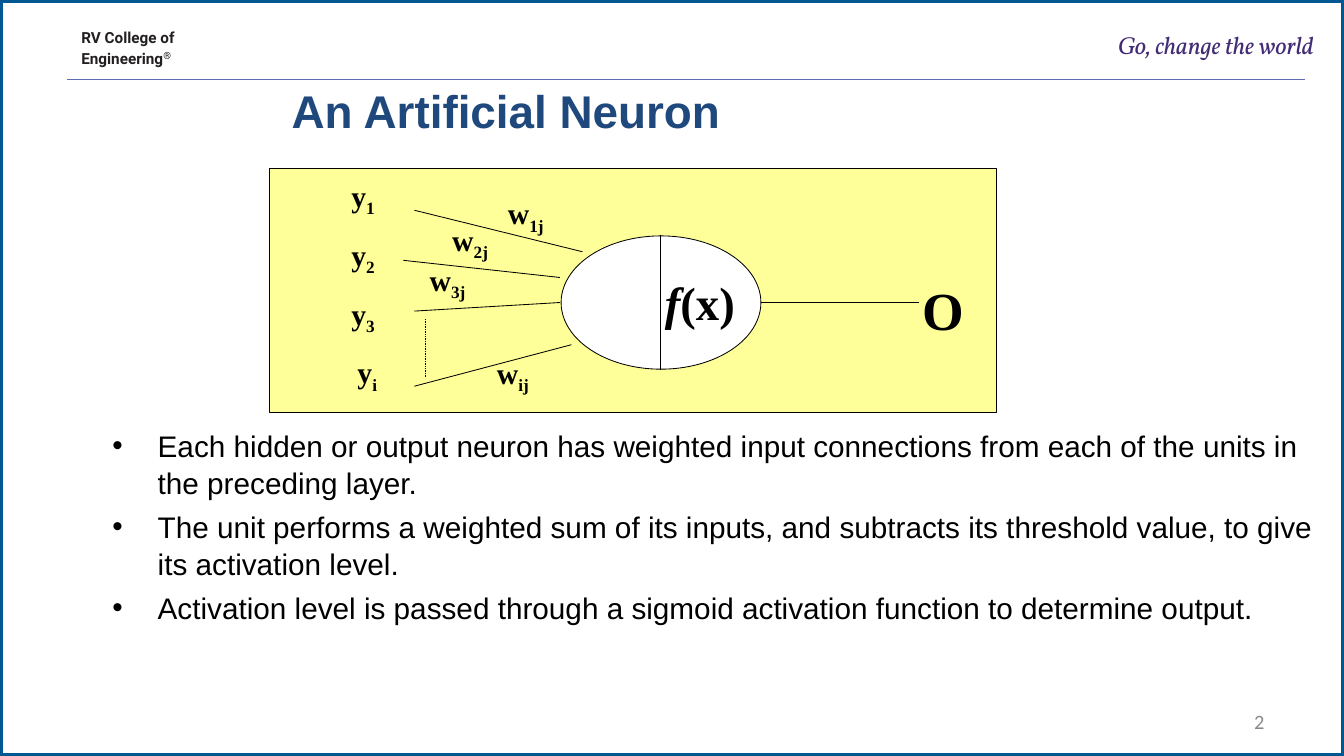
from pptx import Presentation
from pptx.dml.color import RGBColor
from pptx.enum.dml import MSO_LINE
from pptx.enum.shapes import MSO_CONNECTOR as CONN, MSO_SHAPE as SHAPE
from pptx.enum.text import MSO_ANCHOR as ANCHOR, MSO_AUTO_SIZE as AUTO, PP_ALIGN as ALIGN
from pptx.oxml.ns import qn
from pptx.util import Pt
from lxml.etree import SubElement

W, H = 1583.28, 890.64
COLORS = {
    "white": "FFFFFF", "black": "000000", "border": "005893", "rule": "5E6DB3",
    "college": "231F20", "motto": "422C75", "number": "898989",
    "title": "1F497D", "panel": "FFFF99",
}


def rgb(name):
    return RGBColor.from_string(COLORS[name])


def add_box(slide, shape, box, fill, line, width):
    sp = slide.shapes.add_shape(shape, *map(Pt, box))
    sp.shadow.inherit = False
    sp.fill.solid()
    sp.fill.fore_color.rgb = rgb(fill)
    sp.line.color.rgb = rgb(line)
    sp.line.width = Pt(width)
    return sp


def add_line(slide, x1, y1, x2, y2, color="black", width=1):
    cn = slide.shapes.add_connector(CONN.STRAIGHT, *map(Pt, (x1, y1, x2, y2)))
    cn.line.color.rgb = rgb(color)
    cn.line.width = Pt(width)
    SubElement(cn._element.spPr, qn("a:effectLst"))
    return cn


def add_text(slide, box, inset=(7.2, 3.6, 7.2, 3.6), wrap=True, grow=False, anchor=ANCHOR.TOP):
    tf = slide.shapes.add_textbox(*map(Pt, box)).text_frame
    tf.margin_left, tf.margin_top, tf.margin_right, tf.margin_bottom = map(Pt, inset)
    tf.word_wrap = wrap
    tf.auto_size = AUTO.SHAPE_TO_FIT_TEXT if grow else AUTO.NONE
    tf.vertical_anchor = anchor
    return tf


def add_run(p, text, size, font, color="black", bold=False, italic=False, baseline=0):
    r = p.add_run()
    r.text = text
    r.font.size = Pt(size)
    r.font.name = font
    r.font.color.rgb = rgb(color)
    r.font.bold = bold
    r.font.italic = italic
    if baseline:
        r._r.get_or_add_rPr().set("baseline", str(baseline * 1000))


def add_header(slide, x, y, w, h):
    add_line(slide, x + 79.2, y + 93.6, x + w - 45.4, y + 93.6, "rule", 1.25)
    tf = add_text(slide, (x + 95.8, y + 31.7, 162, 46.1), (0, 1.4, 0, 0), grow=True)
    p = tf.paragraphs[0]
    add_run(p, "RV College of", 18, "Roboto", "college", bold=True)
    p = tf.add_paragraph()
    p.space_before = Pt(1.4)
    add_run(p, "Engineering", 18, "Roboto", "college", bold=True)
    add_run(p, "®", 20, "Roboto", "college", baseline=30)
    p = add_text(slide, (x + w - 347.8, y + 31.7, 319.7, 35.3)).paragraphs[0]
    p.alignment = ALIGN.RIGHT
    add_run(p, "Go, change the world", 29, "Vollkorn", "motto", italic=True)


def add_title(slide, *box):
    tf = add_text(slide, box, (13.7, 7.2, 13.7, 7.2), anchor=ANCHOR.MIDDLE)
    add_run(tf.paragraphs[0], "An Artificial Neuron", 54, "Arial", "title", bold=True)


def add_page_number(slide, *box):
    tf = add_text(slide, box, (14.4, 7.2, 14.4, 7.2), anchor=ANCHOR.MIDDLE)
    p = tf.paragraphs[0]
    p.alignment = ALIGN.RIGHT
    add_run(p, "2", 24, "Calibri", "number")


def add_bullets(slide, *box):
    items = [
        "Each hidden or output neuron has weighted input connections from each of the units in the preceding layer.",
        "The unit performs a weighted sum of its inputs, and subtracts its threshold value, to give its activation level.",
        "Activation level is passed through a sigmoid activation function to determine output.",
    ]
    tf = add_text(slide, box, (13.7, 7.2, 13.7, 7.2))
    for i, item in enumerate(items):
        p = tf.add_paragraph() if i else tf.paragraphs[0]
        p.line_spacing = 1.05
        if i:
            p.space_before = Pt(7)
        pPr = p._p.get_or_add_pPr()
        pPr.set("marL", str(Pt(53.3)))
        pPr.set("indent", str(-Pt(53.3)))
        SubElement(pPr, qn("a:buFont")).set("typeface", "Arial")
        SubElement(pPr, qn("a:buChar")).set("char", "•")
        add_run(p, item, 35, "Arial")


def add_symbol(slide, x, y, w, letter, index):
    p = add_text(slide, (x, y, w, 49.7), wrap=False, grow=True).paragraphs[0]
    add_run(p, letter, 35, "Times New Roman", bold=True)
    add_run(p, index, 35, "Times New Roman", bold=True, baseline=-25)


def add_neuron(slide, x, y, w, h):
    add_box(slide, SHAPE.RECTANGLE, (x, y, w, h), "panel", "black", 0.75)
    add_box(slide, SHAPE.OVAL, (x + 344.2, y + 79.9, 235.4, 157), "white", "black", 1)
    inputs = [
        ("1", 90, 44, (171.4, 49.7, 369.4, 98.6), (274.3, 28.1, 59)),
        ("2", 90, 44, (158.4, 108.7, 342.7, 128.9), (208.8, 59.8, 59)),
        ("3", 90, 44, (171.4, 168.5, 342.7, 158.4), (182.2, 106.6, 59)),
        ("i", 97.2, 38.9, (171.4, 257, 356.4, 208.1), (261.4, 216, 54)),
    ]
    for row, (index, left, width, (x1, y1, x2, y2), (wx, wy, ww)) in enumerate(inputs):
        add_line(slide, x + x1, y + y1, x + x2, y + y2)
        add_symbol(slide, x + left, y + 7.9 + row * 69.3, width, "y", index)
        add_symbol(slide, x + wx, y + wy, ww, "w", index + "j")
    dots = add_line(slide, x + 184.3, y + 177.8, x + 184.3, y + 247)
    dots.line.dash_style = MSO_LINE.ROUND_DOT
    add_line(slide, x + 461.5, y + 79.2, x + 461.5, y + 237.6)
    add_line(slide, x + 580.3, y + 158.4, x + 765.4, y + 158.4)
    p = add_text(slide, (x + 459.4, y + 121, 97.9, 74.2), wrap=False, grow=True).paragraphs[0]
    add_run(p, "f", 55, "Times New Roman", bold=True, italic=True)
    add_run(p, "(x)", 55, "Times New Roman", bold=True)
    p = add_text(slide, (x + 762.5, y + 124.6, 64.1, 83.5), wrap=False, grow=True).paragraphs[0]
    add_run(p, "O", 63, "Times New Roman", bold=True)


def main():
    prs = Presentation()
    prs.slide_width, prs.slide_height = Pt(W), Pt(H)
    s = prs.slides.add_slide(prs.slide_layouts[6])
    add_box(s, SHAPE.RECTANGLE, (0, 0, W, H), "white", "border", 6)
    add_header(s, 0, 0, W, 100)
    add_page_number(s, 1134.7, 825.8, 369.4, 47.5)
    add_title(s, 329.8, 64.8, 1253.4, 128.9)
    add_bullets(s, 118.8, 494.6, 1464.4, 336.2)
    add_neuron(s, 316.8, 198, 857.5, 287.3)
    prs.save("out.pptx")


if __name__ == "__main__":
    main()
